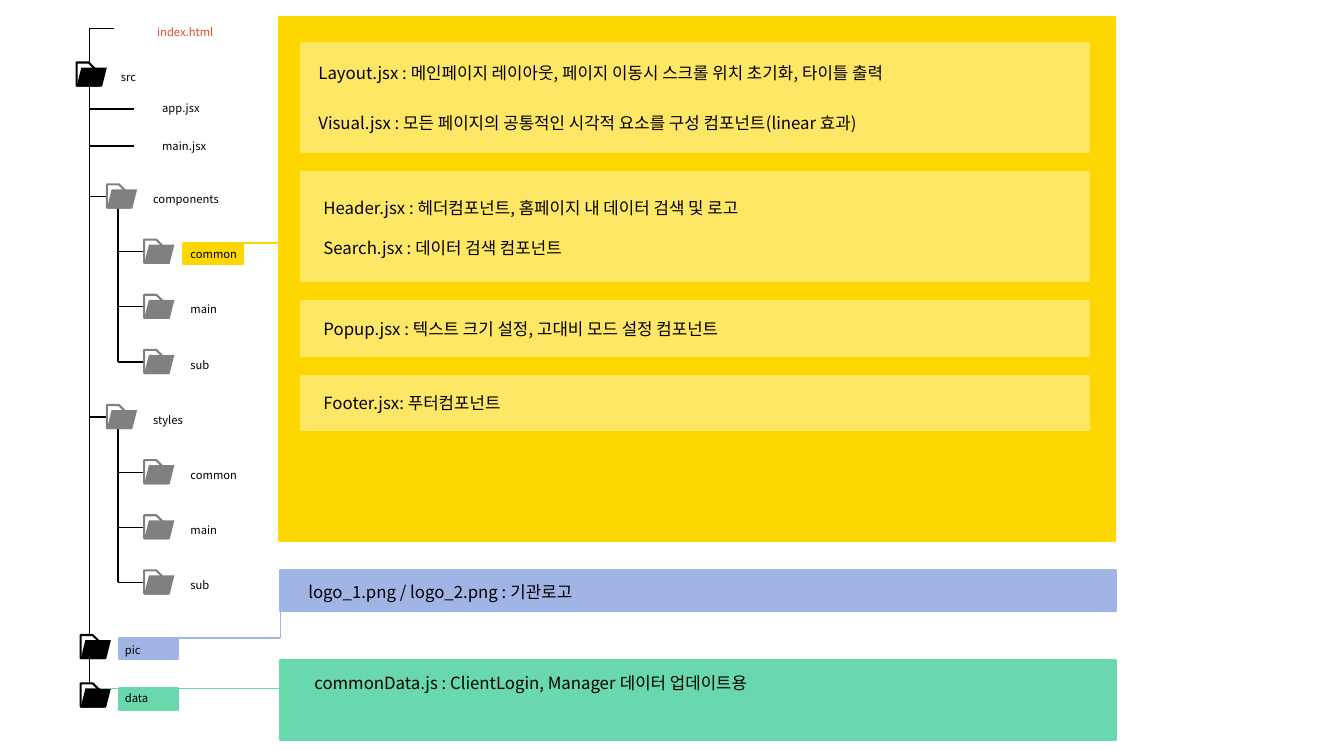
from lxml.etree import SubElement
from pptx import Presentation
from pptx.dml.color import RGBColor
from pptx.enum.shapes import MSO_CONNECTOR, MSO_SHAPE as Preset
from pptx.oxml.ns import qn
from pptx.util import Inches, Pt

FONT = "Noto Sans CJK KR"
BLACK, GRAY, WHITE, ORANGE = "000000", "808080", "FFFFFF", "E54D26"
GOLD, LEMON, BLUE, GREEN = "FFD700", "FFE766", "A0B4E6", "69D8AD"

ROOT_FOLDERS = [("src", 0.76, 0.62), ("pic", 0.8, 6.3), ("data", 0.8, 6.78)]
SUBFOLDERS = {
    "components": ["common", "main", "sub"],
    "styles": ["common", "main", "sub"],
}
FILES = [
    ("index.html", 1.46, 0.2, 0.28, 0.24, ORANGE),
    ("app.jsx", 1.51, 0.96, 1.08, 0.44, BLACK),
    ("main.jsx", 1.51, 1.33, 1.45, 0.44, BLACK),
]
TAGS = [(1.82, 2.41, GOLD), (1.18, 6.33, BLUE), (1.18, 6.83, GREEN)]
PANELS = [
    (2.77, 0.17, 5.2, GOLD),
    (2.78, 5.66, 0.4, BLUE),
    (2.78, 6.55, 0.79, GREEN),
]
PANEL_NOTES = [
    ("logo_1.png / logo_2.png : 기관로고", 2.96, 5.72, 7.3),
    ("commonData.js : ClientLogin, Manager 데이터 업데이트용", 3.02, 6.62, 7.3),
]
CARDS = [
    (1.08, [
        ("Layout.jsx : 메인페이지 레이아웃, 페이지 이동시 스크롤 위치 초기화, 타이틀 출력", 3.06, 0.14, 7.61),
        ("Visual.jsx : 모든 페이지의 공통적인 시각적 요소를 구성 컴포넌트(linear 효과)", 3.06, 0.64, 5.57),
    ]),
    (1.08, [
        ("Header.jsx : 헤더컴포넌트, 홈페이지 내 데이터 검색 및 로고", 3.11, 0.2, 4.34),
        ("Search.jsx : 데이터 검색 컴포넌트", 3.11, 0.6, 4.34),
    ]),
    (0.54, [("Popup.jsx : 텍스트 크기 설정, 고대비 모드 설정 컴포넌트", 3.11, 0.12, 7.3)]),
    (0.54, [("Footer.jsx: 푸터컴포넌트", 3.11, 0.12, 2.05)]),
]
LINKS = [
    (2.36, 2.41, 2.78, 2.41, GOLD),
    (0.99, 6.83, 2.78, 6.83, GREEN),
    (1.54, 6.33, 2.78, 6.33, BLUE),
    (2.78, 6.33, 2.78, 5.9, BLUE),
]

TRUNK, TWIG = 0.89, 1.17
LEVEL_X = {1: 1.06, 2: 1.43}
TREE_TOP, ROW = 1.83, 0.547
PANEL_WIDTH = 8.29
CARD_LEFT, CARD_TOP, CARD_WIDTH, CARD_GAP = 2.99, 0.43, 7.81, 0.2

deck = Presentation()
deck.slide_width, deck.slide_height = Inches(13.33), Inches(7.5)
page = deck.slides.add_slide(deck.slide_layouts[6])


def color(hex_text):
    return RGBColor.from_string(hex_text)


def add_block(preset, left, top, width, height, fill, line=None):
    block = page.shapes.add_shape(preset, *map(Inches, (left, top, width, height)))
    block.shadow.inherit = False
    block.fill.solid()
    block.fill.fore_color.rgb = color(fill)
    if line:
        block.line.color.rgb = color(line)
        block.line.width = Pt(1.5)
    else:
        block.line.fill.background()
    return block


def add_text(text, left, top, width, size=12, ink=BLACK):
    height = 0.3 if size == 12 else 0.23
    box = page.shapes.add_textbox(*map(Inches, (left, top, width, height)))
    box.text_frame.word_wrap = True
    para = box.text_frame.paragraphs[0]
    para.text = text
    para.font.size = Pt(size)
    para.font.color.rgb = color(ink)
    para.font.name = FONT
    SubElement(para._p.find(".//" + qn("a:defRPr")), qn("a:ea"), typeface=FONT)


def add_line(x1, y1, x2, y2, ink=BLACK):
    line = page.shapes.add_connector(MSO_CONNECTOR.STRAIGHT, *map(Inches, (x1, y1, x2, y2)))
    line.line.color.rgb = color(ink)
    line.line.width = Pt(1)
    SubElement(line._element.spPr, qn("a:effectLst"))


def add_folder(name, left, top, ink):
    back = add_block(Preset.SNIP_1_RECTANGLE, left, top, 0.23, 0.23, WHITE, ink)
    back.adjustments[0] = 0.477
    add_block(Preset.PARALLELOGRAM, left, top + 0.05, 0.3, 0.19, ink)
    add_text(name, left + (0.34 if ink == BLACK else 0.36), top + 0.03, 1.1, 8)


def add_tree():
    add_line(TRUNK, 0.28, TRUNK, 6.85)
    top = TREE_TOP
    for parent, children in SUBFOLDERS.items():
        add_line(TRUNK, top + 0.12, 1.1, top + 0.12)
        add_line(TWIG, top + 0.21, TWIG, top + len(children) * ROW + 0.12)
        add_folder(parent, LEVEL_X[1], top, GRAY)
        for child in children:
            top += ROW
            add_line(TWIG, top + 0.12, 1.49, top + 0.12)
            add_folder(child, LEVEL_X[2], top, GRAY)
        top += ROW
    for name, left, top in ROOT_FOLDERS:
        add_folder(name, left, top, BLACK)
    for name, left, top, branch, length, ink in FILES:
        add_line(TRUNK, branch, TRUNK + length, branch)
        add_text(name, left, top, 0.8, 8, ink)


def add_cards():
    top = CARD_TOP
    for height, notes in CARDS:
        add_block(Preset.RECTANGLE, CARD_LEFT, top, CARD_WIDTH, height, LEMON, LEMON)
        for text, left, drop, width in notes:
            add_text(text, left, top + drop, width)
        top += height + CARD_GAP


for left, top, height, fill in PANELS:
    add_block(Preset.RECTANGLE, left, top, PANEL_WIDTH, height, fill, fill)
for left, top, fill in TAGS:
    add_block(Preset.RECTANGLE, left, top, 0.59, 0.21, fill, fill)
add_tree()
add_cards()
for note in PANEL_NOTES:
    add_text(*note)
for link in LINKS:
    add_line(*link)

deck.save("out.pptx")
